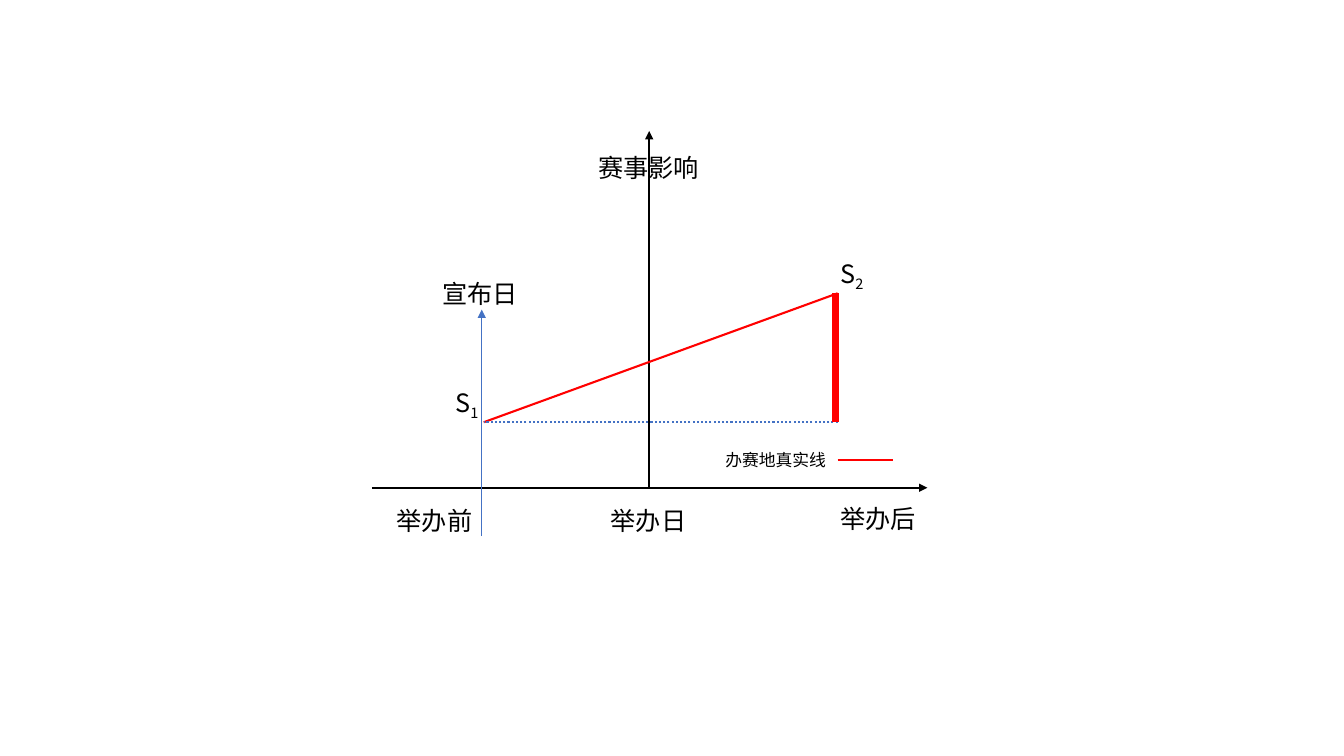
from lxml import etree
from pptx import Presentation
from pptx import util as u
from pptx.dml.color import RGBColor
from pptx.enum import dml, shapes, text
from pptx.oxml import ns

COLOURS = {"ink": "000000", "trend": "FF0000", "announcement": "4472C4"}
FONT = "Noto Sans CJK SC"

AXIS_X, AXIS_Y = 16.36, 12.29
START_X, START_Y = 12.19, 10.64
END_X, END_Y = 21.11, 7.39
ANNOUNCE_X = 12.14
GAIN_X = 21.06
LEGEND_Y = 11.58


def add_line(page, start, end, colour, width=1.5, dash=None, arrow=False):
    line = page.shapes.add_connector(
        shapes.MSO_CONNECTOR.STRAIGHT, *(u.Cm(value) for value in start + end))
    line.line.color.rgb = RGBColor.from_string(COLOURS[colour])
    line.line.width = u.Pt(width)
    if dash:
        line.line.dash_style = dash
    if arrow:
        tail = etree.SubElement(line.line._get_or_add_ln(), ns.qn("a:tailEnd"))
        tail.set("type", "triangle")
    etree.SubElement(line._element.spPr, ns.qn("a:effectLst"))


def add_span(para, words, size, subscript=False):
    span = para.add_run()
    span.text = words
    span.font.size = u.Pt(size)
    span.font.color.rgb = RGBColor.from_string(COLOURS["ink"])
    span.font.name = FONT
    properties = span._r.get_or_add_rPr()
    etree.SubElement(properties, ns.qn("a:ea")).set("typeface", FONT)
    if subscript:
        properties.set("baseline", "-25000")


def add_label(page, words, left, top, width=2.44, height=1.02,
              size=18, subscript="", wrap=False):
    box = page.shapes.add_textbox(u.Cm(left), u.Cm(top), u.Cm(width), u.Cm(height))
    frame = box.text_frame
    frame.word_wrap = wrap
    frame.auto_size = text.MSO_AUTO_SIZE.SHAPE_TO_FIT_TEXT
    para = frame.paragraphs[0]
    add_span(para, words, size)
    if subscript:
        add_span(para, subscript, size, subscript=True)


def main():
    deck = Presentation()
    deck.slide_width, deck.slide_height = u.Cm(33.87), u.Cm(19.05)
    page = deck.slides.add_slide(deck.slide_layouts[6])

    add_line(page, (AXIS_X, AXIS_Y), (AXIS_X, 3.3), "ink", arrow=True)
    add_line(page, (9.37, AXIS_Y), (23.37, AXIS_Y), "ink", arrow=True)
    add_line(page, (START_X, START_Y), (END_X, END_Y), "trend")

    add_label(page, "举办前", 9.75, 12.62)
    add_label(page, "举办后", 20.93, 12.55)
    add_label(page, "赛事影响", 14.83, 3.71, width=3.07)
    add_label(page, "S", 11.23, 9.63, width=1.22, subscript="1", wrap=True)
    add_label(page, "S", 20.93, 6.38, width=1.22, subscript="2", wrap=True)

    add_line(page, (ANNOUNCE_X, 13.51), (ANNOUNCE_X, 7.8), "announcement",
             width=0.5, arrow=True)
    add_label(page, "宣布日", 10.9, 6.88)
    add_label(page, "举办日", 15.14, 12.6)

    add_line(page, (END_X, START_Y), (START_X, START_Y), "announcement",
             dash=dml.MSO_LINE.ROUND_DOT)
    add_line(page, (GAIN_X, START_Y), (GAIN_X, END_Y), "trend", width=5)

    add_line(page, (END_X, LEGEND_Y), (22.5, LEGEND_Y), "trend")
    add_label(page, "办赛地真实线", 18.03, 11.2, width=3.1, height=0.76,
              size=12, wrap=True)

    deck.save("out.pptx")


if __name__ == "__main__":
    main()
